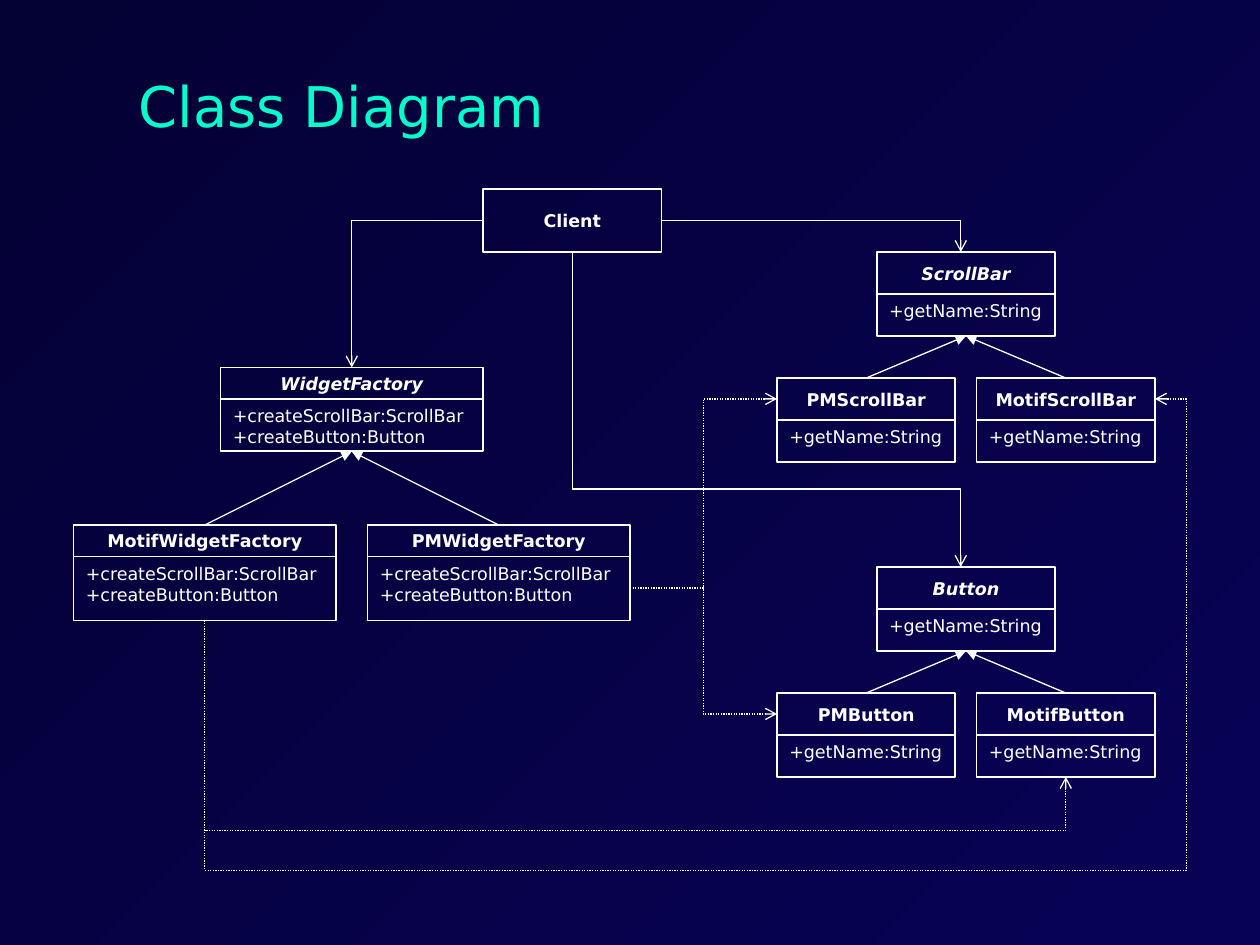
from dataclasses import dataclass
from pptx import Presentation
from pptx.dml.color import RGBColor
from pptx.enum.dml import MSO_LINE
from pptx.enum.shapes import MSO_CONNECTOR, MSO_SHAPE
from pptx.enum.text import MSO_ANCHOR, PP_ALIGN
from pptx.oxml.ns import qn
from pptx.util import Cm, Pt
from lxml.etree import SubElement


@dataclass(frozen=True)
class Theme:
    face: str = "DejaVu Sans"
    ink: RGBColor = RGBColor(0xFF, 0xFF, 0xFF)
    title: RGBColor = RGBColor(0x00, 0xFF, 0xCC)
    light: RGBColor = RGBColor(0x08, 0x02, 0x56)
    dark: RGBColor = RGBColor(0x04, 0x01, 0x34)
    big: Pt = Pt(32)
    small: Pt = Pt(10)
    edge: Pt = Pt(1)
    wire: Pt = Pt(0.75)


THEME = Theme()
MAKE = "+createScrollBar:ScrollBar\n+createButton:Button"
NAME = "+getName:String"


def unit(n):
    """Length of n grid steps, with 12 steps to 2.54 cm."""
    return Cm(n * 2.54 / 12)


def style(frame, size, color, align, bold=False, italic=False):
    for para in frame.paragraphs:
        para.alignment = align
        for run in para.runs:
            font = run.font
            font.name, font.size = THEME.face, size
            font.bold, font.italic = bold, italic
            font.color.rgb = color


def paint(slide):
    fill = slide.background.fill
    fill.gradient()
    fill.gradient_angle = 135
    for stop, color in zip(fill.gradient_stops, (THEME.light, THEME.dark)):
        stop.color.rgb = color


def head(slide, box, text):
    title = slide.shapes.title
    title.left, title.top, title.width, title.height = map(unit, box)
    frame = title.text_frame
    frame.text = text
    frame.vertical_anchor = MSO_ANCHOR.MIDDLE
    style(frame, THEME.big, THEME.title, PP_ALIGN.LEFT)


def cell(slide, box, text):
    """Add an outlined, unfilled rectangle and return its text frame."""
    shape = slide.shapes.add_shape(MSO_SHAPE.RECTANGLE, *map(unit, box))
    shape.shadow.inherit = False
    shape.fill.background()
    shape.line.color.rgb = THEME.ink
    shape.line.width = THEME.edge
    shape.text_frame.text = text
    return shape.text_frame


def label(slide, box, text, italic=False):
    frame = cell(slide, box, text)
    frame.vertical_anchor = MSO_ANCHOR.MIDDLE
    style(frame, THEME.small, THEME.ink, PP_ALIGN.CENTER, True, italic)


def entry(slide, box, name, body, split, italic=False):
    """Draw a class: its name above the split, its methods below."""
    x, y, w, h = box
    label(slide, (x, y, w, split), name, italic)
    frame = cell(slide, (x, y + split, w, h - split), body)
    frame.vertical_anchor = MSO_ANCHOR.TOP
    frame.word_wrap = False
    style(frame, THEME.small, THEME.ink, PP_ALIGN.LEFT)


def trim(link, tip, dotted=False):
    """Give a connector its line, arrowhead and no shadow."""
    link.line.color.rgb = THEME.ink
    link.line.width = THEME.wire
    if dotted:
        link.line.dash_style = MSO_LINE.ROUND_DOT
    props = link._element.spPr
    SubElement(props.find(qn("a:ln")), qn("a:tailEnd"), type=tip)
    SubElement(props, qn("a:effectLst"))


def family(slide, box, names, body, split, high, low):
    """Draw an abstract class centred above its two subclasses."""
    x, y, wide, tall, w = box
    mid = x + wide / 2
    base = y + tall - low
    entry(slide, (mid - w / 2, y, w, high), names[0], body, split, True)
    for left, name in zip((x, x + wide - w), names[1:]):
        entry(slide, (left, base, w, low), name, body, split)
        ends = map(unit, (left + w / 2, base, mid, y + high))
        trim(slide.shapes.add_connector(MSO_CONNECTOR.STRAIGHT, *ends), "triangle")


def bend(slide, points, dotted=False):
    """Draw an elbow arrow through points, as a turned preset connector."""
    (ax, ay), (bx, by) = points[0], points[-1]
    dx, dy = bx - ax, by - ay
    if points[1][0] == ax:
        turn, cos, sin = (270, 0, -1) if dy > 0 else (90, 0, 1)
    else:
        turn, cos, sin = (0, 1, 0) if dx > 0 else (180, -1, 0)

    def local(x, y):
        return x * cos + y * sin, y * cos - x * sin

    w, h = local(dx, dy)
    cx, cy = (ax + bx) / 2, (ay + by) / 2
    ends = map(unit, (cx - w / 2, cy - h / 2, cx + w / 2, cy + h / 2))
    link = slide.shapes.add_connector(MSO_CONNECTOR.ELBOW, *ends)
    props = link._element.spPr
    props.find(qn("a:xfrm")).set("rot", str(turn * 60000))
    geom = props.find(qn("a:prstGeom"))
    geom.set("prst", f"bentConnector{len(points) - 1}")
    guides = geom.find(qn("a:avLst"))
    for i, (px, py) in enumerate(points[1:-2]):
        part = local(px - ax, py - ay)[i] / (w, h)[i]
        SubElement(guides, qn("a:gd"), name=f"adj{i + 1}",
                   fmla=f"val {round(part * 100000)}")
    trim(link, "arrow", dotted)


def wires(slide):
    for points in (
        [(46, 21), (33.5, 21), (33.5, 35)],
        [(63, 21), (91.5, 21), (91.5, 24)],
        [(54.5, 24), (54.5, 46.6), (91.5, 46.6), (91.5, 54)],
    ):
        bend(slide, points)
    motif = (19.5, 59.1)
    for points in (
        [motif, (19.5, 79.1), (101.5, 79.1), (101.5, 74)],
        [motif, (19.5, 82.9), (113, 82.9), (113, 38), (110, 38)],
        [(60, 56), (67, 56), (67, 38), (74, 38)],
        [(60, 56), (67, 56), (67, 68), (74, 68)],
    ):
        bend(slide, points, dotted=True)


def main():
    deck = Presentation()
    deck.slide_width, deck.slide_height = Cm(25.4), Cm(19.05)
    slide = deck.slides.add_slide(deck.slide_layouts[5])
    paint(slide)
    head(slide, (12, 6.2, 99, 7.7), "Class Diagram")
    family(slide, (7, 35, 53, 24.1, 25),
           ("WidgetFactory", "MotifWidgetFactory", "PMWidgetFactory"),
           MAKE, 3, 8, 9.1)
    for y, kind in ((24, "ScrollBar"), (54, "Button")):
        family(slide, (74, y, 36, 20, 17),
               (kind, "PM" + kind, "Motif" + kind), NAME, 4, 8, 8)
    label(slide, (46, 18, 17, 6), "Client")
    wires(slide)
    deck.save("out.pptx")


if __name__ == "__main__":
    main()
